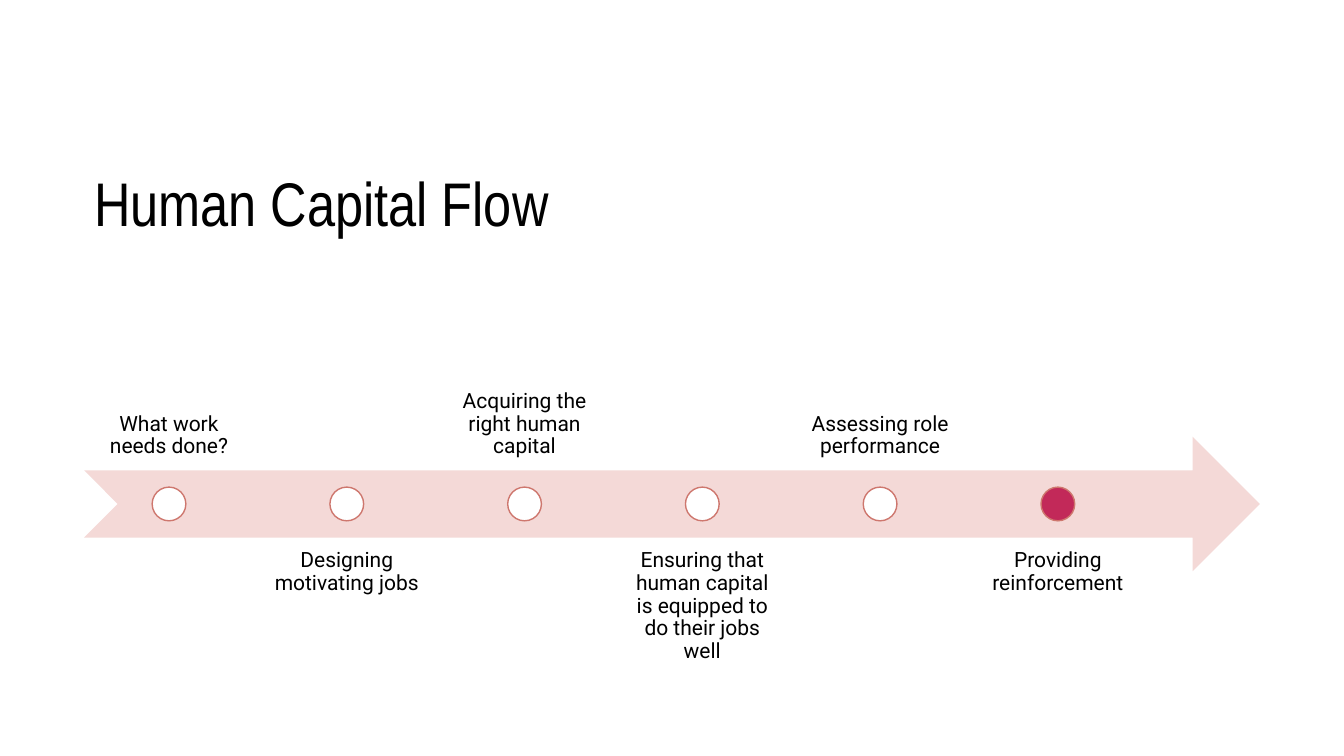
"""Build the Human Capital Flow timeline slide."""
import pptx
import pptx.dml.color
import pptx.enum.shapes
import pptx.enum.text
import pptx.util

Cm = pptx.util.Cm
Pt = pptx.util.Pt
SHAPES = pptx.enum.shapes.MSO_SHAPE
ANCHOR = pptx.enum.text.MSO_ANCHOR
ALIGN = pptx.enum.text.PP_ALIGN


def paint(color_format, hex_color):
    color_format.rgb = pptx.dml.color.RGBColor.from_string(hex_color)


def add_text(left, top, width, height, text, frame_format, para_format, font_format):
    box = page.shapes.add_textbox(Cm(left), Cm(top), Cm(width), Cm(height))
    frame = box.text_frame
    para = frame.paragraphs[0]
    span = para.add_run()
    span.text = text
    for target, values in ((frame, frame_format), (para, para_format), (span.font, font_format)):
        for name, value in values.items():
            setattr(target, name, value)
    paint(span.font.color, "000000")


deck = pptx.Presentation()
deck.slide_width = Cm(33.87)
deck.slide_height = Cm(19.05)
page = deck.slides.add_slide(deck.slide_layouts[6])

add_text(2.12, 4.23, 25.4, 3.5, "Human Capital Flow",
         {"word_wrap": True, "vertical_anchor": ANCHOR.TOP},
         {"line_spacing": 0.9},
         {"size": Pt(44), "name": "Arial Narrow"})

middle = 12.7
arrow_height = 3.39
arrow = page.shapes.add_shape(SHAPES.NOTCHED_RIGHT_ARROW, Cm(2.12), Cm(middle - arrow_height / 2),
                              Cm(29.63), Cm(arrow_height))
arrow.shadow.inherit = False
arrow.fill.solid()
paint(arrow.fill.fore_color, "F4D9D7")
arrow.line.fill.background()

steps = [
    "What work needs done?",
    "Designing motivating jobs",
    "Acquiring the right human capital",
    "Ensuring that human capital is equipped to do their jobs well",
    "Assessing role performance",
    "Providing reinforcement",
]
first_center = 4.26
step_pitch = 4.48
label_width = 4.27
dot_size = 0.85
label_frame = {"word_wrap": True, "margin_left": Cm(0.3), "margin_right": Cm(0.3),
               "margin_top": Cm(0.3), "margin_bottom": Cm(0.3)}

for index, step in enumerate(steps):
    center = first_center + index * step_pitch
    above = index % 2 == 0
    label_top = middle - dot_size - arrow_height if above else middle + dot_size
    anchor = ANCHOR.BOTTOM if above else ANCHOR.TOP
    add_text(center - label_width / 2, label_top, label_width, arrow_height, step,
             {**label_frame, "vertical_anchor": anchor},
             {"alignment": ALIGN.CENTER, "line_spacing": 0.9},
             {"size": Pt(15), "name": "Roboto"})

    dot = page.shapes.add_shape(SHAPES.OVAL, Cm(center - dot_size / 2), Cm(middle - dot_size / 2),
                                Cm(dot_size), Cm(dot_size))
    dot.shadow.inherit = False
    dot.fill.solid()
    paint(dot.fill.fore_color, "C22959" if step == steps[-1] else "FFFFFF")
    paint(dot.line.color, "CE776E")
    dot.line.width = Pt(1)

deck.save("out.pptx")
